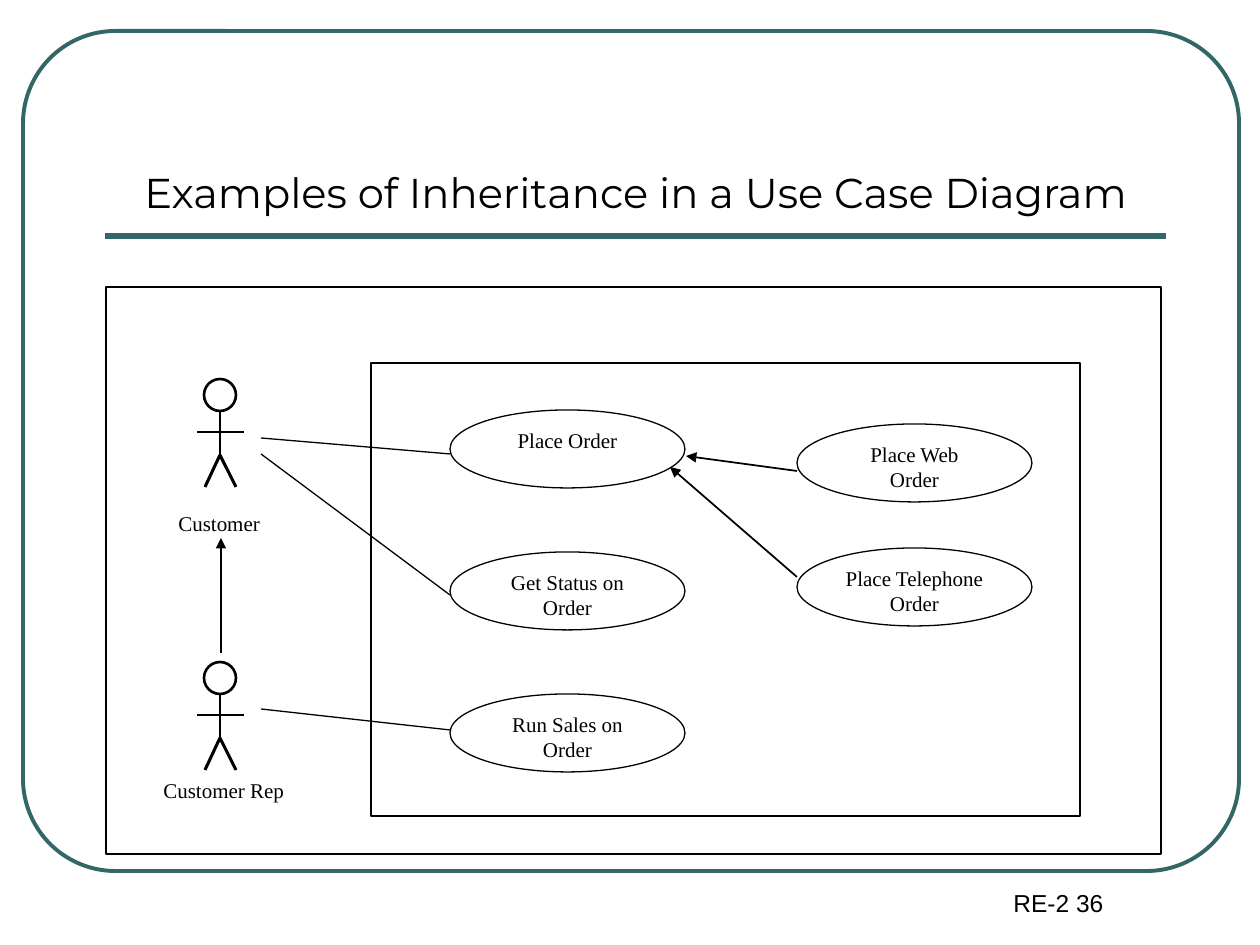
"""Build a use case diagram slide that shows inheritance between actors and use cases."""
from lxml.etree import SubElement
from pptx import Presentation
from pptx.dml.color import RGBColor
from pptx.enum.shapes import MSO_CONNECTOR, MSO_SHAPE
from pptx.enum.text import MSO_ANCHOR, PP_ALIGN
from pptx.oxml.ns import qn
from pptx.util import Emu, Pt

TITLE = "Examples of Inheritance in a Use Case Diagram"
FOOTER = " RE-2 36"

USE_CASES = [
    ("Place Order", 450, 410),
    ("Get Status on Order", 450, 552),
    ("Run Sales on Order", 450, 694),
    ("Place Telephone Order", 797, 548),
    ("Place Web Order", 797, 424),
]
ACTORS = [
    ("Customer", 379, (166, 504, 126, 47)),
    ("Customer Rep", 662, (151, 771, 158, 47)),
]
ASSOCIATIONS = [
    (261, 438, 450, 454),
    (261, 454, 450, 595),
    (261, 709, 450, 730),
]
GENERALIZATIONS = [
    (797, 471, 686, 456),
    (797, 577, 670, 467),
    (221, 653, 221, 538),
]

USE_CASE_SIZE = (235, 78)
HEAD_SIZE = 32
ACTOR_CENTER = 220
ACTOR_LIMBS = [
    (-23, 53, 24, 53, "body"),
    (0, 31, 0, 77, "body"),
    (0, 76, -15, 108, "leg"),
    (0, 76, 16, 108, "leg"),
]

THEME = {
    "ink": RGBColor(0, 0, 0),
    "paper": RGBColor(255, 255, 255),
    "accent": RGBColor(0x33, 0x66, 0x66),
    "title": ("Montserrat", 23.8),
    "label": ("Times New Roman", 12),
    "footer": ("Arial", 14),
    "lines": {"thin": 0.75, "arrow": 1, "body": 1.5, "leg": 1.75, "border": 2.25, "rule": 3},
}
SCALE = 914400 // 126


def pixels(*lengths):
    return [Emu(round(length * SCALE)) for length in lengths]


def style_line(line, weight, color):
    line.color.rgb = color
    line.width = Pt(THEME["lines"][weight])


def write(shape, text, style, alignment=PP_ALIGN.LEFT, anchor=MSO_ANCHOR.TOP, spacing=1.0):
    frame = shape.text_frame
    frame.word_wrap = True
    frame.vertical_anchor = anchor
    paragraph = frame.paragraphs[0]
    paragraph.alignment = alignment
    paragraph.line_spacing = spacing
    run = paragraph.add_run()
    run.text = text
    run.font.name, size = THEME[style]
    run.font.size = Pt(size)
    run.font.color.rgb = THEME["ink"]


def add_text(shapes, box, text, style, **layout):
    write(shapes.add_textbox(*pixels(*box)), text, style, **layout)


def add_outline(shapes, kind, box, weight, color=THEME["ink"], filled=False):
    shape = shapes.add_shape(kind, *pixels(*box))
    shape.shadow.inherit = False
    if filled:
        shape.fill.solid()
        shape.fill.fore_color.rgb = THEME["paper"]
    else:
        shape.fill.background()
    style_line(shape.line, weight, color)
    return shape


def add_line(shapes, ends, weight, color=THEME["ink"], arrow=False):
    connector = shapes.add_connector(MSO_CONNECTOR.STRAIGHT, *pixels(*ends))
    style_line(connector.line, weight, color)
    properties = connector._element.spPr
    if arrow:
        SubElement(properties.find(qn("a:ln")), qn("a:tailEnd"), type="triangle")
    SubElement(properties, qn("a:effectLst"))


def add_actor(shapes, name, top, label_box):
    actor = shapes.add_group_shape().shapes
    head = (ACTOR_CENTER - HEAD_SIZE / 2, top, HEAD_SIZE, HEAD_SIZE)
    add_outline(actor, MSO_SHAPE.OVAL, head, "body", filled=True)
    for x1, y1, x2, y2, weight in ACTOR_LIMBS:
        ends = (ACTOR_CENTER + x1, top + y1, ACTOR_CENTER + x2, top + y2)
        add_line(actor, ends, weight)
    add_text(actor, label_box, name, "label")


presentation = Presentation()
presentation.slide_width, presentation.slide_height = pixels(1260, 945)
slide = presentation.slides.add_slide(presentation.slide_layouts[6])
shapes = slide.shapes

border = add_outline(
    shapes, MSO_SHAPE.ROUNDED_RECTANGLE, (23, 31, 1216, 840), "border", THEME["accent"]
)
border.adjustments[0] = 0.11
add_line(shapes, (105, 236, 1166, 236), "rule", THEME["accent"])
add_text(shapes, (945, 882, 220, 63), FOOTER, "footer", alignment=PP_ALIGN.CENTER)

for name, left, top in USE_CASES:
    use_case = add_outline(
        shapes, MSO_SHAPE.OVAL, (left, top, *USE_CASE_SIZE), "thin", filled=True
    )
    write(use_case, name, "label", alignment=PP_ALIGN.CENTER)

add_outline(shapes, MSO_SHAPE.RECTANGLE, (371, 363, 709, 453), "body")
for name, top, label_box in ACTORS:
    add_actor(shapes, name, top, label_box)
add_outline(shapes, MSO_SHAPE.RECTANGLE, (106, 287, 1055, 567), "arrow")

for ends in ASSOCIATIONS:
    add_line(shapes, ends, "thin")
for ends in GENERALIZATIONS:
    add_line(shapes, ends, "arrow", arrow=True)

add_text(shapes, (132, 102, 1032, 122), TITLE, "title", anchor=MSO_ANCHOR.BOTTOM, spacing=0.9)

presentation.save("out.pptx")
